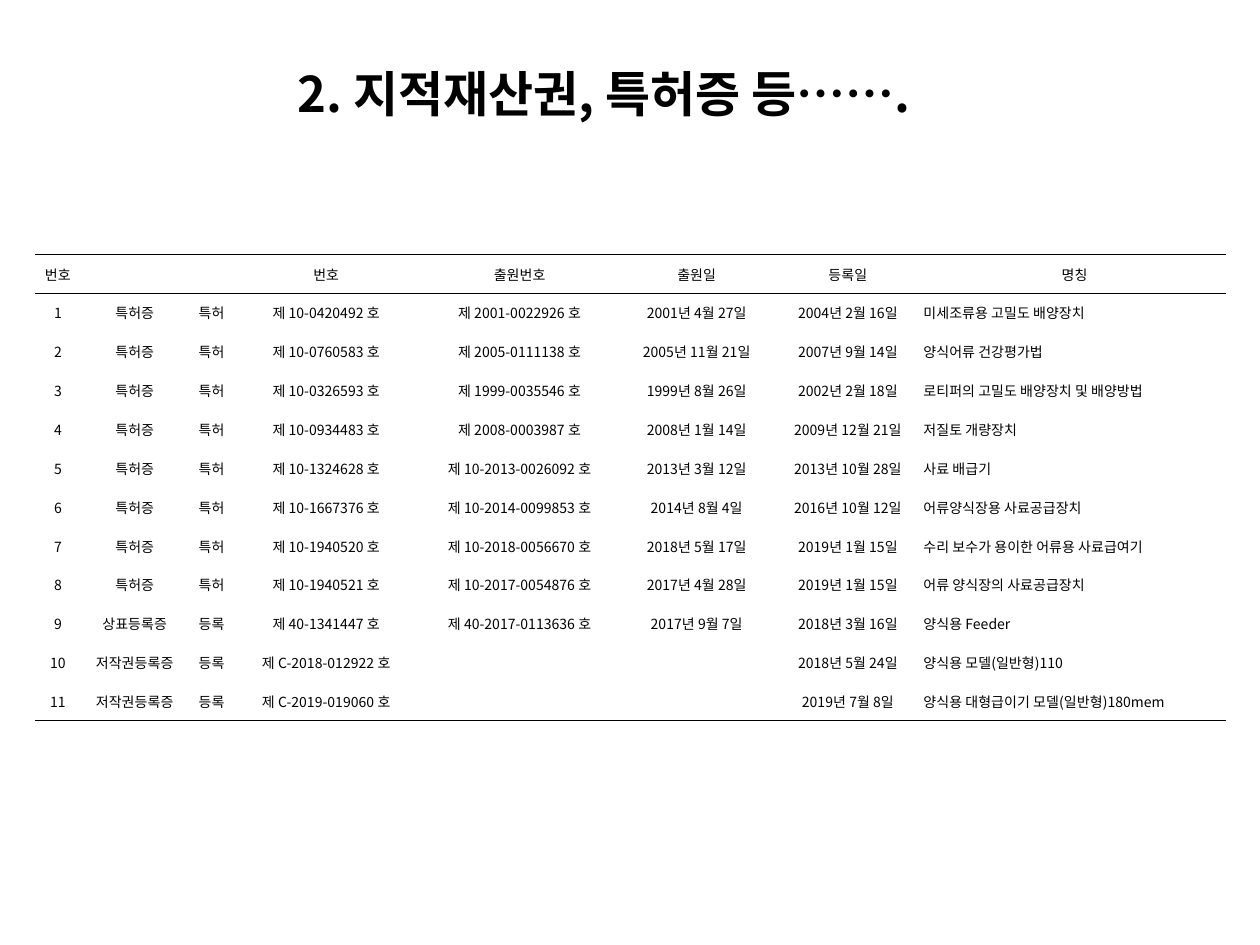
from lxml.etree import SubElement
from pptx import Presentation
from pptx.dml.color import RGBColor as RGB
from pptx.enum.text import MSO_ANCHOR as Anchor, PP_ALIGN as Align
from pptx.oxml.ns import qn
from pptx.util import Inches as In, Pt

TITLE = "2. 지적재산권, 특허증 등……."
HEAD = ["번호", "", "", "번호", "출원번호", "출원일", "등록일", "명칭"]
PATENT, MARK, COPY = ("특허증", "특허"), ("상표등록증", "등록"), ("저작권등록증", "등록")
# kind, registration number, filing number, filing date, registration date, name
RIGHTS = [
    (PATENT, "10-0420492", "2001-0022926", "2001년 4월 27일", "2004년 2월 16일", "미세조류용 고밀도 배양장치"),
    (PATENT, "10-0760583", "2005-0111138", "2005년 11월 21일", "2007년 9월 14일", "양식어류 건강평가법"),
    (PATENT, "10-0326593", "1999-0035546", "1999년 8월 26일", "2002년 2월 18일", "로티퍼의 고밀도 배양장치 및 배양방법"),
    (PATENT, "10-0934483", "2008-0003987", "2008년 1월 14일", "2009년 12월 21일", "저질토 개량장치"),
    (PATENT, "10-1324628", "10-2013-0026092", "2013년 3월 12일", "2013년 10월 28일", "사료 배급기"),
    (PATENT, "10-1667376", "10-2014-0099853", "2014년 8월 4일", "2016년 10월 12일", "어류양식장용 사료공급장치"),
    (PATENT, "10-1940520", "10-2018-0056670", "2018년 5월 17일", "2019년 1월 15일", "수리 보수가 용이한 어류용 사료급여기"),
    (PATENT, "10-1940521", "10-2017-0054876", "2017년 4월 28일", "2019년 1월 15일", "어류 양식장의 사료공급장치"),
    (MARK, "40-1341447", "40-2017-0113636", "2017년 9월 7일", "2018년 3월 16일", "양식용 Feeder"),
    (COPY, "C-2018-012922", "", "", "2018년 5월 24일", "양식용 모델(일반형)110"),
    (COPY, "C-2019-019060", "", "", "2019년 7월 8일", "양식용 대형급이기 모델(일반형)180mem"),
]
THEME = {"font": "Noto Sans CJK KR", "ink": "000000", "title": 28, "body": 8, "rule": 0.5}
TITLE_BOX = (1.46, 0.44, 6.67, 0.47)
GRID_BOX = (0.28, 2.02, 9.45, 3.7)
COLS = [0.36, 0.86, 0.36, 1.46, 1.61, 1.2, 1.2, 2.4]


def number(code):
    return f"제 {code} 호" if code else ""


def edge(cell, side, shown):
    line = SubElement(cell._tc.get_or_add_tcPr(), qn(f"a:ln{side}"))
    if shown:
        line.set("w", str(Pt(THEME["rule"])))
        fill = SubElement(line, qn("a:solidFill"))
        SubElement(fill, qn("a:srgbClr"), val=THEME["ink"])
    else:
        SubElement(line, qn("a:noFill"))


def write(cell, text, size, align, bold):
    para = cell.text_frame.paragraphs[0]
    para.alignment = align
    if not text:
        # An empty cell keeps the body size, so its row does not grow.
        SubElement(para._p, qn("a:endParaRPr"), sz=str(size * 100))
        return
    run = para.add_run()
    run.text = text
    form = {"size": Pt(size), "name": THEME["font"], "bold": bold}
    for key, value in form.items():
        setattr(run.font, key, value)
    run.font.color.rgb = RGB.from_string(THEME["ink"])
    SubElement(run._r.get_or_add_rPr(), qn("a:ea"), typeface=THEME["font"])


def add_grid(slide, box, cols, rows, size, ruled=(), bold=False):
    """Add a table; ruled holds the row boundaries that carry a line."""
    frame = slide.shapes.add_table(len(rows), len(cols), *map(In, box))
    table = frame.table
    table.first_row = table.horz_banding = False
    for col, width in zip(table.columns, cols):
        col.width = In(width)
    for r, row in enumerate(rows):
        table.rows[r].height = In(box[3] / len(rows))
        for c, text in enumerate(row):
            cell = table.cell(r, c)
            for side in ("left", "right", "top", "bottom"):
                setattr(cell, f"margin_{side}", 0)
            cell.vertical_anchor = Anchor.MIDDLE
            sides = {"L": False, "R": False, "T": r in ruled, "B": r + 1 in ruled}
            for side, shown in sides.items():
                edge(cell, side, shown)
            cell.fill.background()
            name = r > 0 and c == len(cols) - 1
            write(cell, text, size, Align.LEFT if name else Align.CENTER, bold)


def main():
    deck = Presentation()
    deck.slide_width, deck.slide_height = In(10), In(7.5)
    slide = deck.slides.add_slide(deck.slide_layouts[6])
    add_grid(slide, TITLE_BOX, [TITLE_BOX[2]], [[TITLE]], THEME["title"], bold=True)
    rows = [HEAD] + [
        [str(i), *kind, number(reg), number(filed), *rest]
        for i, (kind, reg, filed, *rest) in enumerate(RIGHTS, 1)
    ]
    add_grid(slide, GRID_BOX, COLS, rows, THEME["body"], ruled=(0, 1, len(rows)))
    deck.save("out.pptx")


if __name__ == "__main__":
    main()
